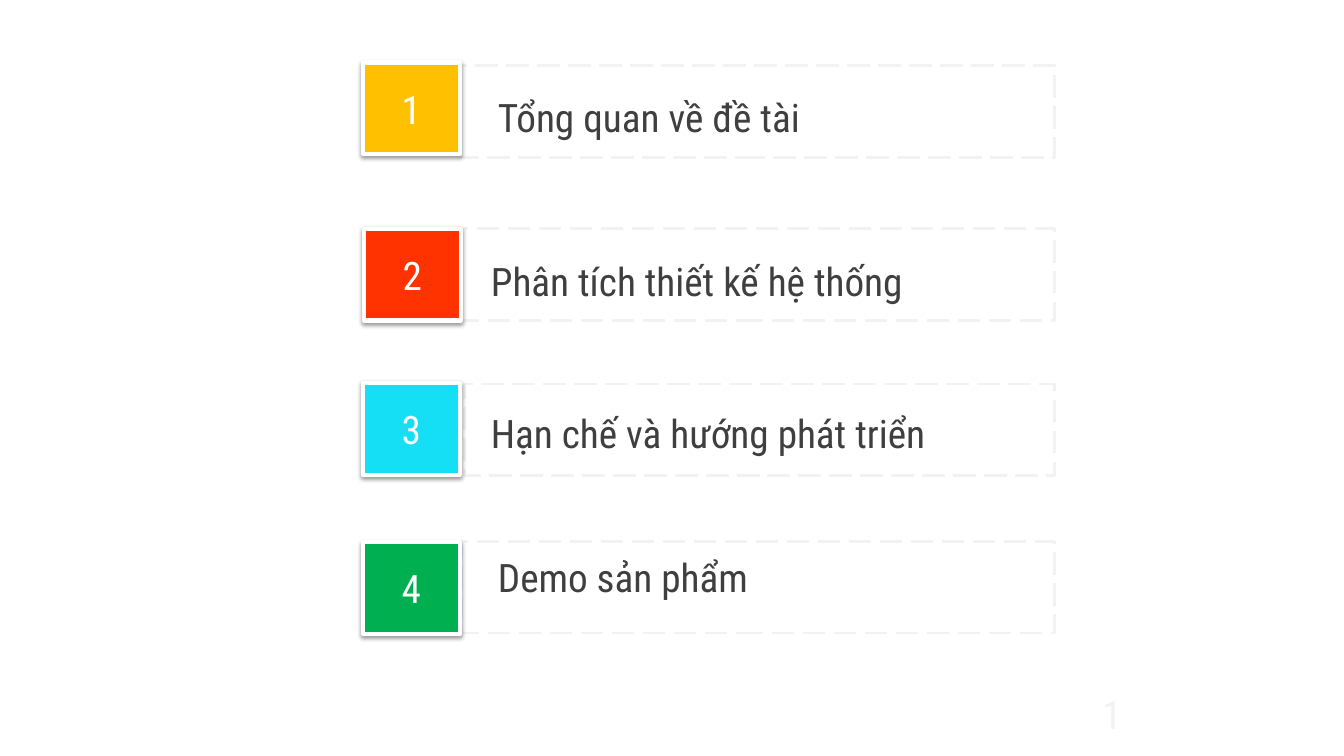
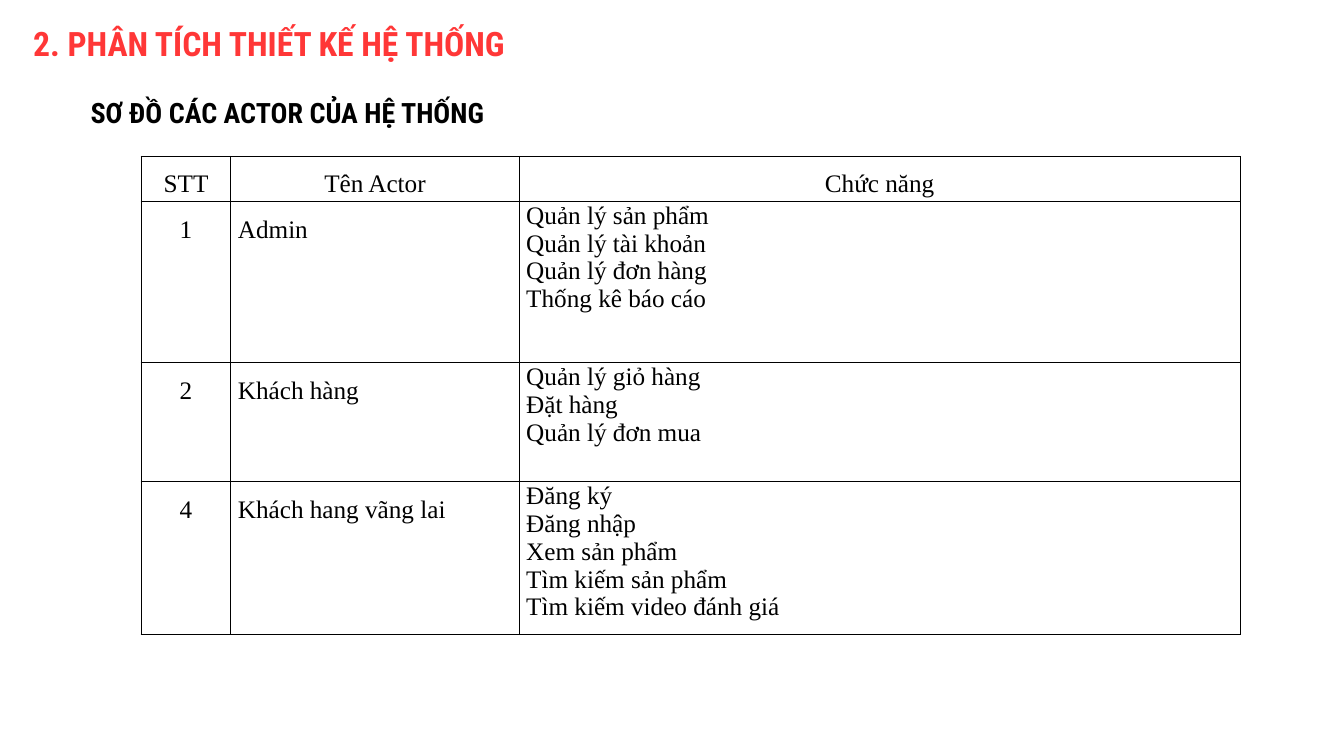
from lxml import etree
from pptx import Presentation
from pptx.dml.color import RGBColor
from pptx.enum.dml import MSO_LINE
from pptx.enum.shapes import MSO_SHAPE
from pptx.enum.text import MSO_ANCHOR, PP_ALIGN
from pptx.oxml.ns import qn
from pptx.util import Inches, Pt

RECTANGLE = MSO_SHAPE.RECTANGLE
LONG_DASH = MSO_LINE.LONG_DASH
MIDDLE = MSO_ANCHOR.MIDDLE
LEFT, CENTER = PP_ALIGN.LEFT, PP_ALIGN.CENTER

WHITE = RGBColor(0xFF, 0xFF, 0xFF)
BLACK = RGBColor(0, 0, 0)
PALE = RGBColor(0xF2, 0xF2, 0xF2)
DARK = RGBColor(0x3F, 0x3F, 0x3F)
AMBER = RGBColor(0xFF, 0xC0, 0x00)
RED = RGBColor(0xFF, 0x33, 0x00)
CYAN = RGBColor(0x14, 0xDF, 0xF4)
GREEN = RGBColor(0x00, 0xB0, 0x50)
TITLE_RED = RGBColor(0xFF, 0x37, 0x37)

HEADING_FONT = "Roboto Condensed"
TABLE_FONT = "Times New Roman"

AGENDA = [
    ("1", "Tổng quan về đề tài", AMBER, (3.6, 0.62), (4.57, 0.65), (4.84, 0.88)),
    ("2", "Phân tích thiết kế hệ thống", RED, (3.61, 2.27), (4.58, 2.27), (4.77, 2.5)),
    ("3", "Hạn chế và hướng phát triển", CYAN, (3.6, 3.8), (4.61, 3.81), (4.77, 4.01)),
    ("4", "Demo sản phẩm", GREEN, (3.6, 5.38), (4.58, 5.37), (4.84, 5.44)),
]
FRAME_RIGHT = 10.46
ITEM_HEIGHT = 0.91

COLUMN_WIDTHS = [0.89, 2.86, 7.15]
ROW_HEIGHTS = [0.45, 1.6, 1.18, 1.51]
ACTORS = [
    ("STT", "Tên Actor", ["Chức năng"]),
    ("1", "Admin", ["Quản lý sản phẩm", "Quản lý tài khoản", "Quản lý đơn hàng",
                    "Thống kê báo cáo"]),
    ("2", "Khách hàng", ["Quản lý giỏ hàng", "Đặt hàng", "Quản lý đơn mua"]),
    ("4", "Khách hang vãng lai", ["Đăng ký", "Đăng nhập", "Xem sản phẩm",
                                  "Tìm kiếm sản phẩm", "Tìm kiếm video đánh giá"]),
]


def write_text(frame, lines, *, size, color, font=HEADING_FONT, bold=False,
               align=LEFT, spacing=None):
    frame.word_wrap = True
    for index, line in enumerate(lines):
        para = frame.add_paragraph() if index else frame.paragraphs[0]
        para.alignment = align
        if spacing:
            para.line_spacing = spacing
        span = para.add_run()
        span.text = line
        span.font.name = font
        span.font.size = Pt(size)
        span.font.bold = bold
        span.font.color.rgb = color


def add_label(page, text, left, top, width, height, **style):
    box = page.shapes.add_textbox(Inches(left), Inches(top), Inches(width), Inches(height))
    write_text(box.text_frame, [text], **style)


def add_box(page, left, top, width, height, *, line, weight, fill=None):
    box = page.shapes.add_shape(RECTANGLE, Inches(left), Inches(top),
                                Inches(width), Inches(height))
    box.shadow.inherit = False
    if fill is None:
        box.fill.background()
    else:
        box.fill.solid()
        box.fill.fore_color.rgb = fill
    box.line.color.rgb = line
    box.line.width = Pt(weight)
    return box


def add_drop_shadow(box):
    effects = box._element.spPr.find(qn("a:effectLst"))
    shadow = etree.SubElement(effects, qn("a:outerShdw"), blurRad=str(Pt(3.1)),
                              dist=str(Pt(1.6)), dir="5400000", rotWithShape="0")
    color = etree.SubElement(shadow, qn("a:srgbClr"), val=str(BLACK))
    etree.SubElement(color, qn("a:alpha"), val="38000")


def add_agenda_item(page, number, text, color, square_at, frame_at, label_at):
    frame = add_box(page, *frame_at, FRAME_RIGHT - frame_at[0], ITEM_HEIGHT,
                    line=PALE, weight=2)
    frame.line.dash_style = LONG_DASH
    square = add_box(page, *square_at, 0.96, ITEM_HEIGHT, line=WHITE, weight=3, fill=color)
    add_drop_shadow(square)
    square.text_frame.vertical_anchor = MIDDLE
    write_text(square.text_frame, [number], size=28, color=WHITE, align=CENTER)
    add_label(page, text, *label_at, 5.4, 0.57, size=28, color=DARK)


def set_borders(cell):
    properties = cell._tc.get_or_add_tcPr()
    for index, side in enumerate(("a:lnL", "a:lnR", "a:lnT", "a:lnB")):
        border = etree.Element(qn(side), w=str(Pt(0.75)))
        fill = etree.SubElement(border, qn("a:solidFill"))
        etree.SubElement(fill, qn("a:srgbClr"), val=str(BLACK))
        properties.insert(index, border)


def add_actor_table(page, left, top):
    table = page.shapes.add_table(
        len(ACTORS), len(COLUMN_WIDTHS), Inches(left), Inches(top),
        Inches(sum(COLUMN_WIDTHS)), Inches(sum(ROW_HEIGHTS))).table
    table.first_row = table.horz_banding = False
    for column, width in zip(table.columns, COLUMN_WIDTHS):
        column.width = Inches(width)
    for row, height in zip(table.rows, ROW_HEIGHTS):
        row.height = Inches(height)
    for row_index, (number, actor, tasks) in enumerate(ACTORS):
        for column_index, lines in enumerate(([number], [actor], tasks)):
            cell = table.cell(row_index, column_index)
            cell.margin_left = cell.margin_right = Inches(0.07)
            cell.margin_top = cell.margin_bottom = 0
            cell.fill.background()
            set_borders(cell)
            is_header = row_index == 0
            write_text(cell.text_frame, lines, size=18, color=BLACK, font=TABLE_FONT,
                       align=CENTER if is_header or column_index == 0 else LEFT,
                       spacing=1.5 if is_header or column_index < 2 else None)


def build_agenda(page):
    for item in AGENDA:
        add_agenda_item(page, *item)
    add_label(page, "1", 10.78, 6.8, 0.5, 0.57, size=28, color=PALE, align=CENTER)


def build_actors(page):
    add_label(page, "2. PHÂN TÍCH THIẾT KẾ HỆ THỐNG", 0.23, 0.18, 5.1, 0.5,
              size=24, color=TITLE_RED, bold=True)
    add_label(page, "SƠ ĐỒ CÁC ACTOR CỦA HỆ THỐNG", 0.8, 0.9, 5.86, 0.44,
              size=20, color=BLACK, bold=True)
    add_actor_table(page, 1.4, 1.55)


def main():
    deck = Presentation()
    deck.slide_width = Inches(13.33)
    deck.slide_height = Inches(7.5)
    for build in (build_agenda, build_actors):
        build(deck.slides.add_slide(deck.slide_layouts[6]))
    deck.save("out.pptx")


if __name__ == "__main__":
    main()
